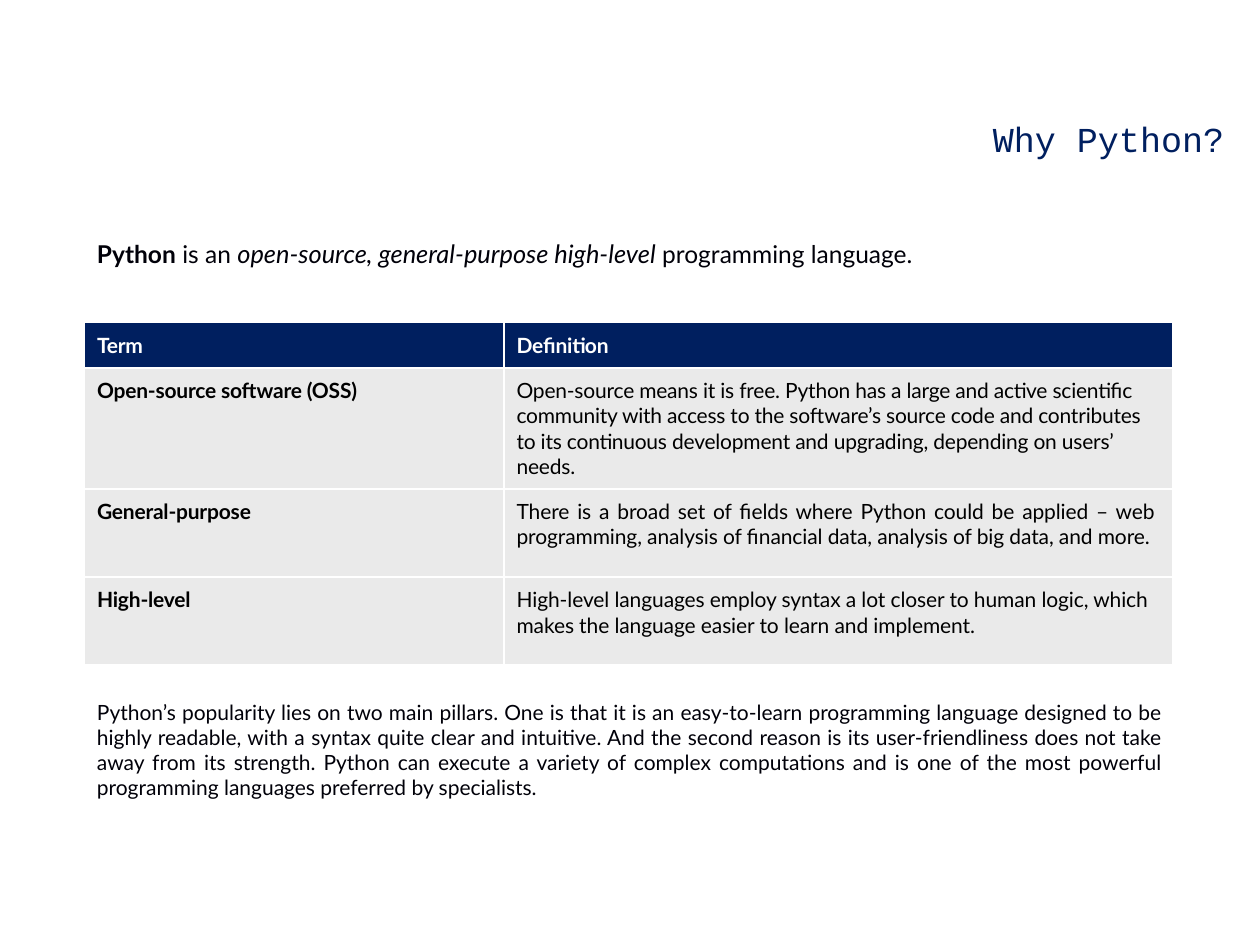
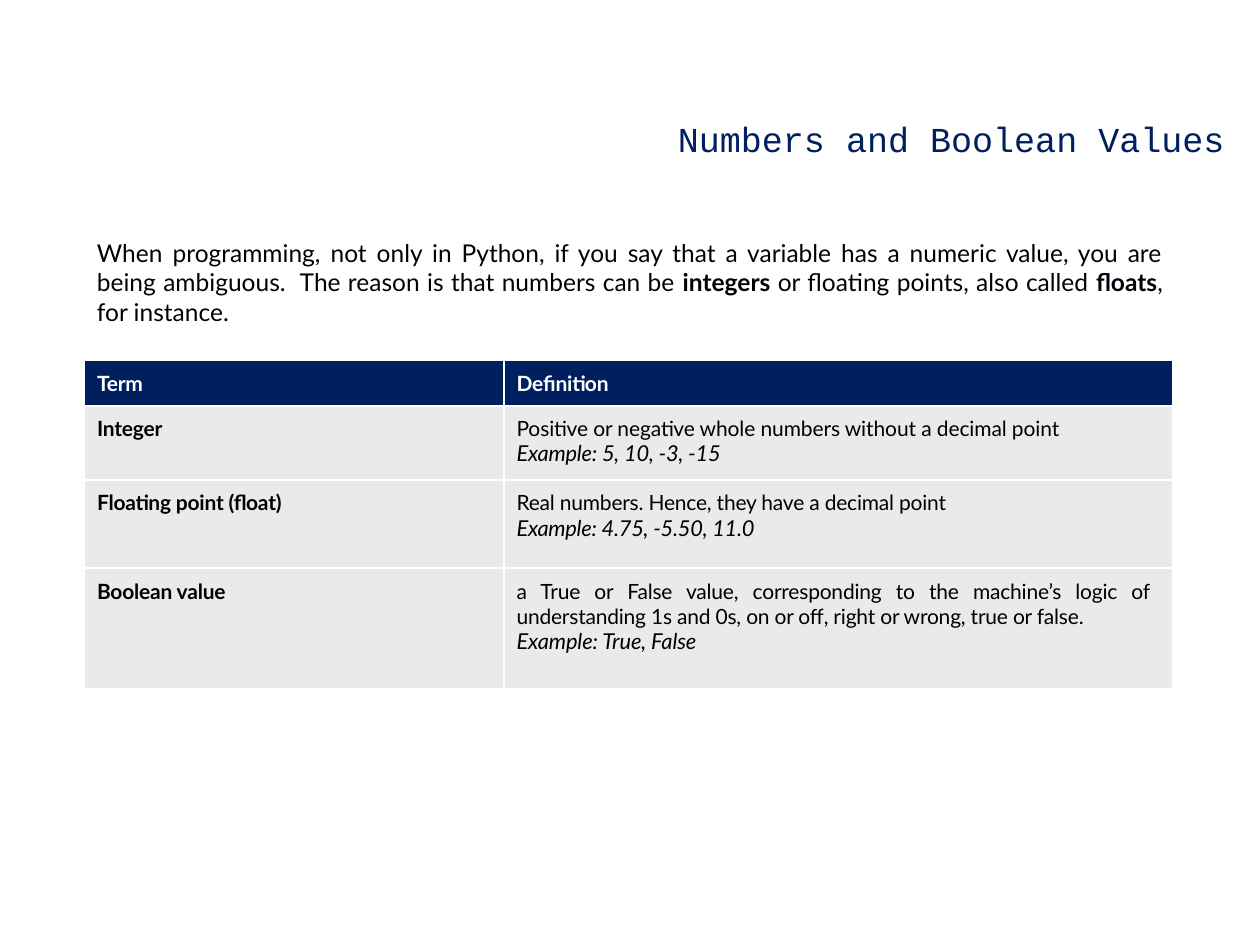
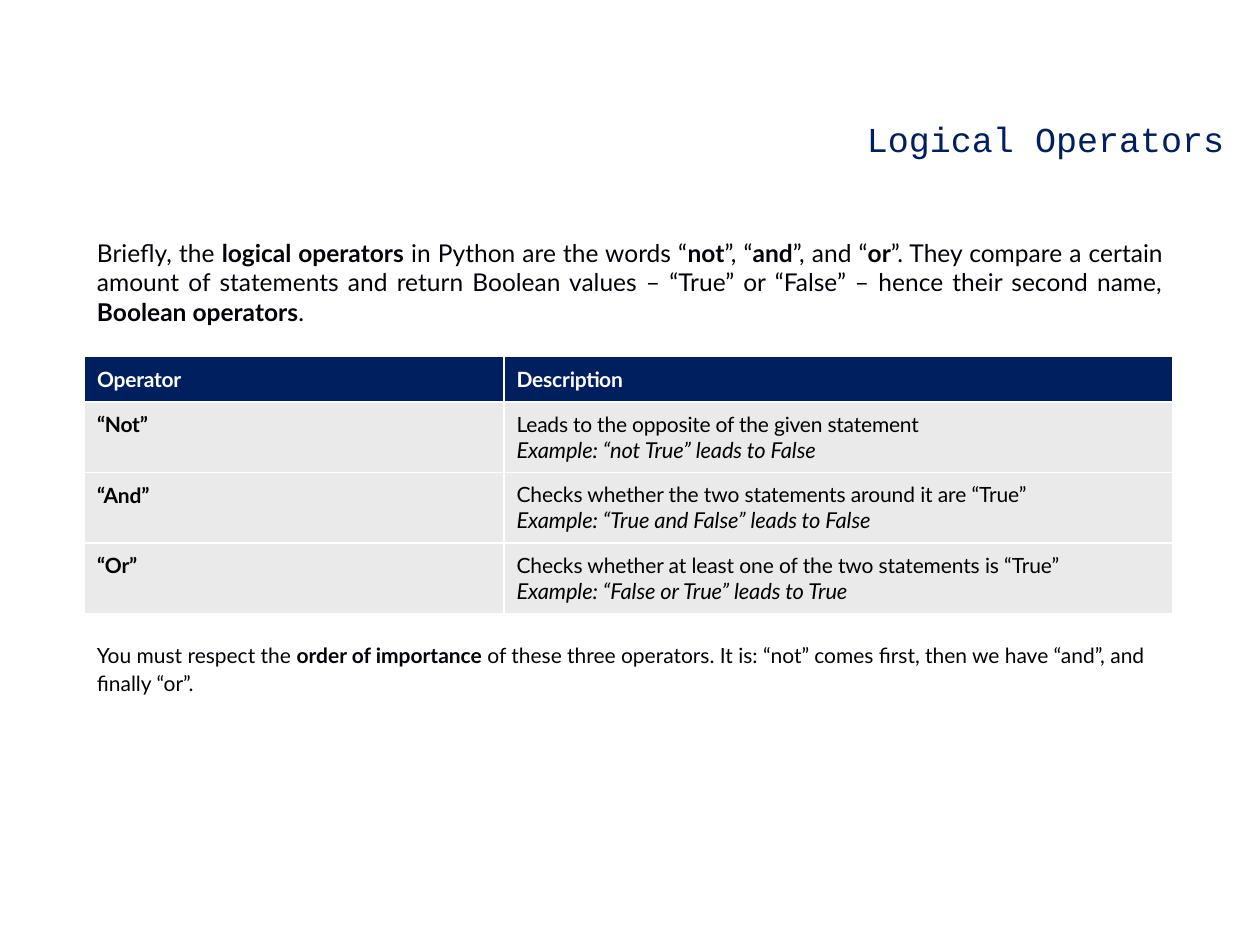
from dataclasses import dataclass
from typing import Optional

from lxml.etree import SubElement
from pptx import Presentation
from pptx.dml.color import RGBColor
from pptx.enum.text import MSO_ANCHOR as Anchor, MSO_AUTO_SIZE as Fit, PP_ALIGN as Align
from pptx.oxml.ns import qn
from pptx.util import Inches, Pt

# Shared look
NAVY = RGBColor(0x00, 0x1F, 0x5F)
INK = RGBColor(0x00, 0x00, 0x09)
BLACK = RGBColor(0x00, 0x00, 0x00)
WHITE = RGBColor(0xFF, 0xFF, 0xFF)
GRAY = RGBColor(0xEA, 0xEA, 0xEA)
SANS = "Lato"
MONO = "Courier New"
LEFT = 0.76
WIDE = 8.47
COLS = (3.33, 5.31)
HEAD_ROW = 0.36


@dataclass
class Para:
    """Text where *stars* mark bold and _underscores_ mark italic."""
    text: str
    spc: int = 0
    size: float = 12
    just: bool = False
    lead: Optional[float] = None
    before: float = 5.6
    right: float = 0.14


@dataclass
class Block:
    para: Para
    top: float
    high: float
    wide: float = WIDE


@dataclass
class Row:
    term: str
    lines: list[Para]
    high: float


@dataclass
class Grid:
    heads: tuple[str, str]
    rows: list[Row]
    top: float


@dataclass
class Page:
    title: str
    indent: float
    intro: Block
    grid: Grid
    outro: Optional[Block] = None


def intro(text: str, high: float = 0.73, wide: float = WIDE, just: bool = True) -> Block:
    return Block(Para(text, size=14, just=just, before=1.1, right=0), 1.88, high, wide)


def sample(text: str, first: int = 0, second: int = -10) -> list[Para]:
    """A definition line followed by its italic example."""
    about, case = text.split("\n")
    return [Para(about, first, lead=14.2), Para(f"_{case}_", second, lead=14.8, before=0)]


# Text helpers
def write(par, item: Para, color: RGBColor, indent: float, font: str = SANS) -> None:
    par.font.name = font
    par.font.size = Pt(item.size)
    par.font.color.rgb = color
    par.alignment = Align.JUSTIFY if item.just else Align.LEFT
    par.space_before = Pt(item.before)
    if item.lead:
        par.line_spacing = item.lead if item.lead < 3 else Pt(item.lead)
    props = par._p.get_or_add_pPr()
    props.set("marL", str(Inches(indent)))
    props.set("marR", str(Inches(item.right)))
    props.set("indent", "0")
    for i, part in enumerate(item.text.split("*")):
        for j, bit in enumerate(part.split("_")):
            if not bit:
                continue
            run = par.add_run()
            run.text = bit
            if i % 2:
                run.font.bold = True
            if j % 2:
                run.font.italic = True
                run.font.size = Pt(item.size + 0.5)
            if item.spc:
                run._r.get_or_add_rPr().set("spc", str(item.spc))


def frame(shape, top: float, high: float, left: float = LEFT, wide: float = WIDE):
    shape.left, shape.top = Inches(left), Inches(top)
    shape.width, shape.height = Inches(wide), Inches(high)
    text = shape.text_frame
    text.word_wrap = True
    text.auto_size = Fit.SHAPE_TO_FIT_TEXT
    text.vertical_anchor = Anchor.TOP
    text.margin_left = text.margin_right = text.margin_bottom = 0
    text.margin_top = Inches(0.01)
    return text.paragraphs[0]


def add_block(slide, block: Block) -> None:
    box = slide.shapes.add_textbox(0, 0, 0, 0)
    par = frame(box, block.top, block.high, wide=block.wide)
    write(par, block.para, INK, 0.01)


# Table helpers
def edge(cell, row: int) -> None:
    """White borders, heavier between the heading and the first row."""
    thick = {0: "lnB", 1: "lnT"}.get(row)
    props = cell._tc.get_or_add_tcPr()
    for side in ("lnL", "lnR", "lnT", "lnB"):
        line = SubElement(props, qn(f"a:{side}"), w=str(Pt(1.5 if side == thick else 1)))
        SubElement(SubElement(line, qn("a:solidFill")), qn("a:srgbClr"), val=str(WHITE))


def fill(cell, lines: list[Para], row: int) -> None:
    edge(cell, row)
    cell.fill.solid()
    cell.fill.fore_color.rgb = GRAY if row else NAVY
    cell.margin_left = cell.margin_right = cell.margin_bottom = 0
    cell.margin_top = Inches(0.08)
    text = cell.text_frame
    for i, line in enumerate(lines):
        par = text.add_paragraph() if i else text.paragraphs[0]
        write(par, line, BLACK if row else WHITE, 0.1)


def add_grid(slide, grid: Grid) -> None:
    first, second = grid.heads
    rows = [Row(first, [Para(f"*{second}*", -10)], HEAD_ROW)] + grid.rows
    high = sum(row.high for row in rows)
    table = slide.shapes.add_table(
        len(rows), len(COLS), Inches(0.67), Inches(grid.top),
        Inches(sum(COLS)), Inches(high)).table
    table.horz_banding = False
    for col, wide in zip(table.columns, COLS):
        col.width = Inches(wide)
    for i, row in enumerate(rows):
        table.rows[i].height = Inches(row.high)
        fill(table.cell(i, 0), [Para(f"*{row.term}*", -10)], i)
        fill(table.cell(i, 1), row.lines, i)


def add_page(deck, page: Page) -> None:
    slide = deck.slides.add_slide(deck.slide_layouts[5])
    par = frame(slide.shapes.title, 0.92, 0.36, 0.87, 8.87)
    write(par, Para(page.title, size=20, before=1.1, right=0), NAVY, page.indent, MONO)
    add_block(slide, page.intro)
    add_grid(slide, page.grid)
    if page.outro:
        add_block(slide, page.outro)


# Content
PAGES = [
    Page(
        "Why Python?", 7.01,
        intro("*Python* is an _open-source, general-purpose high-level_ "
              "programming language.", 0.28, 6.56, False),
        Grid(("Term", "Definition"), [
            Row("Open-source software (OSS)", [Para(
                "Open-source means it is free. Python has a large and active scientific "
                "community with access to the software’s source code and contributes to "
                "its continuous development and upgrading, depending on users’ needs.",
                -10)], 0.96),
            Row("General-purpose", [Para(
                "There is a broad set of fields where Python could be applied – web "
                "programming, analysis of financial data, analysis of big data, and more.",
                -5, just=True)], 0.7),
            Row("High-level", [Para(
                "High-level languages employ syntax a lot closer to human logic, which "
                "makes the language easier to learn and implement.", -5)], 0.7),
        ], 2.56),
        Block(Para(
            "Python’s popularity lies on two main pillars. One is that it is an "
            "easy-to-learn programming language designed to be highly readable, with a "
            "syntax quite clear and intuitive. And the second reason is its "
            "user-friendliness does not take away from its strength. Python can execute "
            "a variety of complex computations and is one of the most powerful "
            "programming languages preferred by specialists.",
            just=True, before=1, right=0), 5.54, 0.83),
    ),
    Page(
        "Numbers and Boolean Values", 4.51,
        intro("When programming, not only in Python, if you say that a variable has a "
              "numeric value, you are being ambiguous.  The reason is that numbers can "
              "be *integers* or floating points, also called *floats*, for instance."),
        Grid(("Term", "Definition"), [
            Row("Integer", sample(
                "Positive or negative whole numbers without a decimal point\n"
                "Example: 5, 10, -3, -15", -5), 0.59),
            Row("Floating point (float)", sample(
                "Real numbers. Hence, they have a decimal point\n"
                "Example: 4.75, -5.50, 11.0", -10, -15), 0.7),
            Row("Boolean value", [
                Para("a True or False value, corresponding to the machine’s logic of "
                     "understanding 1s and 0s, on or off, right or wrong, true or false.",
                     -10, just=True, right=0.18),
                Para("_Example: True, False_", -5, lead=14.5, before=0)], 0.96),
        ], 2.86),
    ),
    Page(
        "Logical Operators", 6.01,
        intro("Briefly, the *logical operators* in Python are the words “*not*”, "
              "“*and*”, and “*or*”. They compare a certain amount of statements and "
              "return Boolean values – “True” or “False” – hence their second name, "
              "*Boolean operators*."),
        Grid(("Operator", "Description"), [
            Row("“Not”", sample(
                "Leads to the opposite of the given statement\n"
                "Example: “not True” leads to False", -10, -5), 0.56),
            Row("“And”", sample(
                "Checks whether the two statements around it are “True”\n"
                "Example: “True and False” leads to False", -5, -5), 0.56),
            Row("“Or”", sample(
                "Checks whether at least one of the two statements is “True”\n"
                "Example: “False or True” leads to True", -5, -5), 0.56),
        ], 2.83),
        Block(Para(
            "You must respect the *order of importance* of these three operators. It is: "
            "“not” comes first, then we have “and”, and finally “or”.",
            lead=1.1, before=1, right=0), 5.07, 0.47),
    ),
]


def main() -> None:
    deck = Presentation()
    deck.slide_width, deck.slide_height = Inches(10), Inches(7.5)
    for page in PAGES:
        add_page(deck, page)
    deck.save("out.pptx")


if __name__ == "__main__":
    main()
